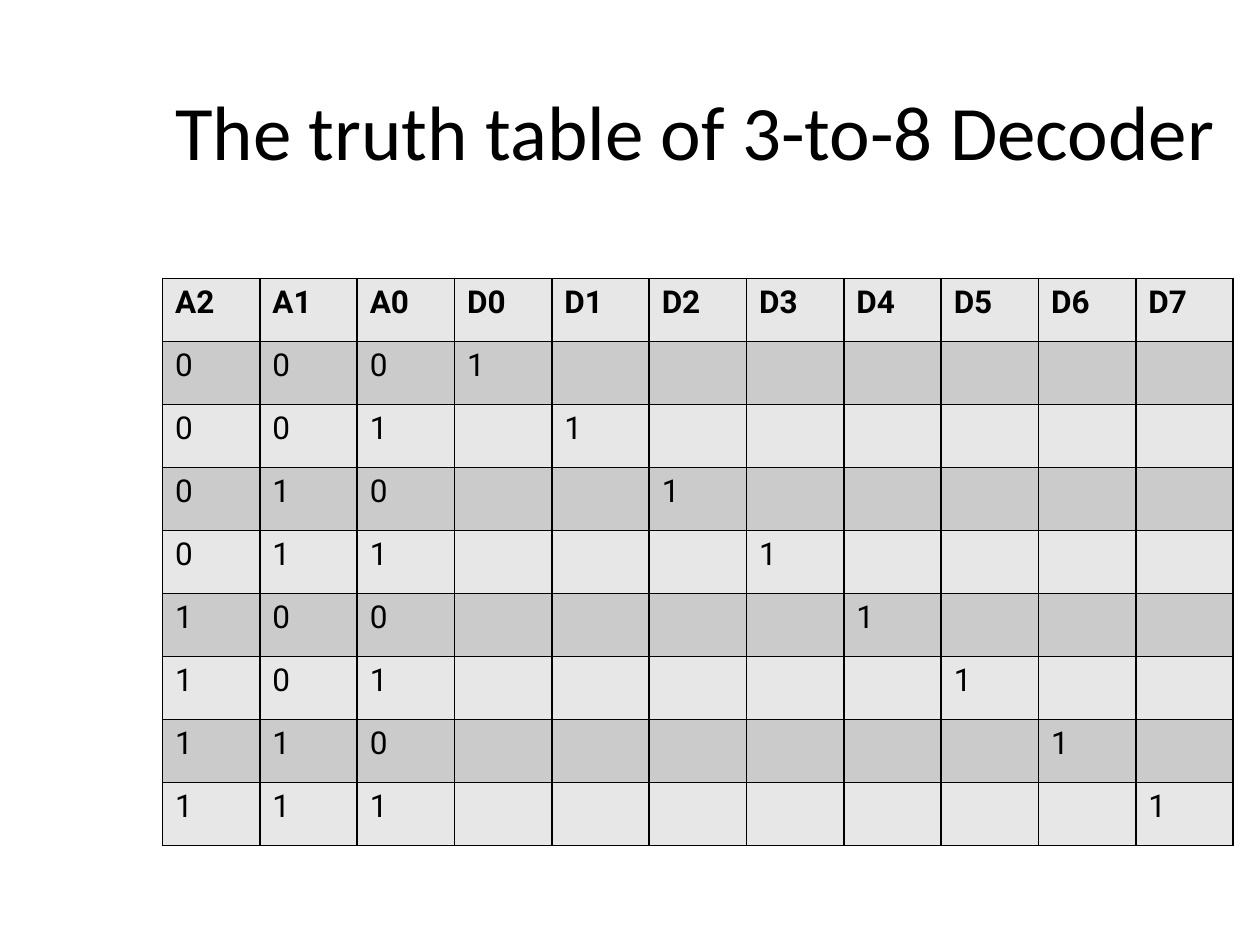
import itertools

import lxml.etree
import pptx
import pptx.dml.color
import pptx.enum.text
import pptx.oxml.ns
import pptx.util

Inches = pptx.util.Inches
COLORS = {"ink": "000000", "light": "E7E7E7", "dark": "CBCBCB"}


def rgb(name):
    return pptx.dml.color.RGBColor.from_string(COLORS[name])


class Deck:
    """Holds the style and the current slide."""

    head = "Calibri"
    body = "Roboto"

    def __init__(self, wide, high):
        self.file = pptx.Presentation()
        self.file.slide_width = Inches(wide)
        self.file.slide_height = Inches(high)
        self.slide = self.file.slides.add_slide(self.file.slide_layouts[5])

    def format(self, para, font, size, bold=False):
        for run in para.runs:
            run.font.name = font
            run.font.size = pptx.util.Pt(size)
            run.font.bold = bold
            run.font.color.rgb = rgb("ink")

    def title(self, text, left, top, wide, high):
        shape = self.slide.shapes.title
        shape.left, shape.top = Inches(left), Inches(top)
        shape.width, shape.height = Inches(wide), Inches(high)
        frame = shape.text_frame
        frame.text = text
        frame.vertical_anchor = pptx.enum.text.MSO_ANCHOR.MIDDLE
        frame.paragraphs[0].alignment = pptx.enum.text.PP_ALIGN.CENTER
        self.format(frame.paragraphs[0], self.head, 44)

    def border(self, cell):
        props = cell._tc.get_or_add_tcPr()
        qn = pptx.oxml.ns.qn
        for spot, side in enumerate(("a:lnL", "a:lnR", "a:lnT", "a:lnB")):
            line = lxml.etree.Element(qn(side), w=str(pptx.util.Pt(1)))
            fill = lxml.etree.SubElement(line, qn("a:solidFill"))
            lxml.etree.SubElement(fill, qn("a:srgbClr"), val=COLORS["ink"])
            props.insert(spot, line)

    def table(self, rows, left, top, wide, high):
        table = self.slide.shapes.add_table(
            len(rows), len(rows[0]), Inches(left), Inches(top),
            Inches(wide), Inches(high)).table
        for r, row in enumerate(rows):
            for c, text in enumerate(row):
                cell = table.cell(r, c)
                cell.fill.solid()
                cell.fill.fore_color.rgb = rgb("dark" if r % 2 else "light")
                cell.text_frame.text = text
                self.format(cell.text_frame.paragraphs[0], self.body, 18, r == 0)
                self.border(cell)


def main():
    deck = Deck(10, 7.5)
    deck.title("The truth table of 3-to-8 Decoder", 1.26, 0.23, 8.52, 1.6)

    # Truth table: each input code raises one output
    rows = [["A2", "A1", "A0"] + [f"D{n}" for n in range(8)]]
    for n, code in enumerate(itertools.product("01", repeat=3)):
        rows.append(list(code) + ["1" if n == out else "" for out in range(8)])
    deck.table(rows, 1.29, 2.21, 8.5, 4.5)

    deck.file.save("out.pptx")


if __name__ == "__main__":
    main()
